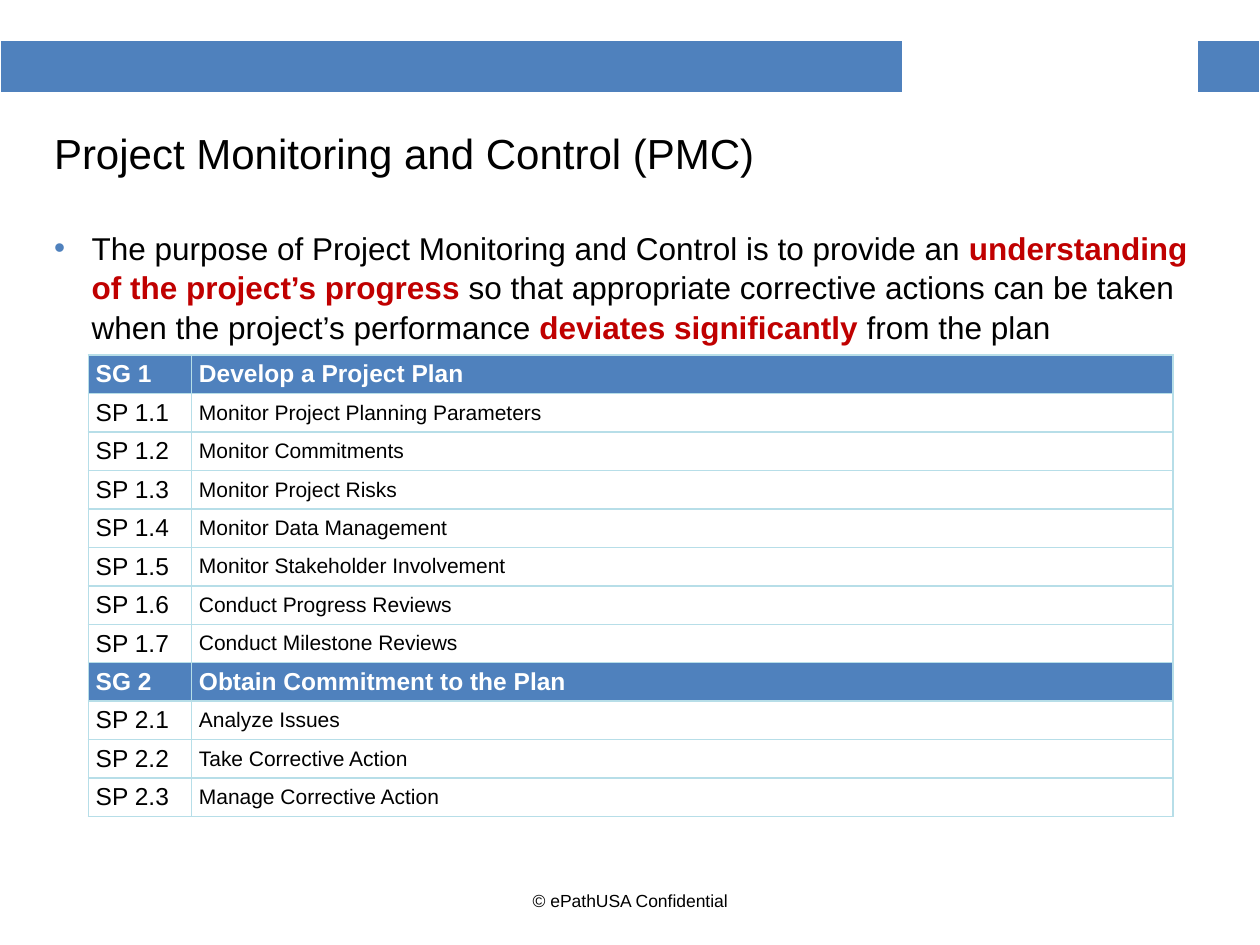
from lxml import etree
from pptx import Presentation
from pptx.dml.color import RGBColor
from pptx.enum.text import MSO_ANCHOR as Anchor, PP_ALIGN as Align
from pptx.oxml.ns import qn
from pptx.util import Cm, Pt

COLORS = {
    "blue": "4F81BD",
    "red": "C00000",
    "black": "000000",
    "white": "FFFFFF",
    "border": "B7DEE8",
}
FONT = "Arial"
PRACTICES = [
    ("SG 1", "Develop a Project Plan"),
    ("SP 1.1", "Monitor Project Planning Parameters"),
    ("SP 1.2", "Monitor Commitments"),
    ("SP 1.3", "Monitor Project Risks"),
    ("SP 1.4", "Monitor Data Management"),
    ("SP 1.5", "Monitor Stakeholder Involvement"),
    ("SP 1.6", "Conduct Progress Reviews"),
    ("SP 1.7", "Conduct Milestone Reviews"),
    ("SG 2", "Obtain Commitment to the Plan"),
    ("SP 2.1", "Analyze Issues"),
    ("SP 2.2", "Take Corrective Action"),
    ("SP 2.3", "Manage Corrective Action"),
]
PURPOSE = [
    ("The purpose of Project Monitoring and Control is to provide an ", False),
    ("understanding of the project’s progress ", True),
    ("so that appropriate corrective actions can be taken when the project’s performance ", False),
    ("deviates significantly ", True),
    ("from the plan", False),
]


def style_font(font, size, color="black", bold=False):
    font.name = FONT
    font.size = Pt(size)
    font.bold = bold
    font.color.rgb = RGBColor.from_string(COLORS[color])


def add_text(slide, left, top, width, height, text="", size=18, align=Align.LEFT, anchor=Anchor.MIDDLE):
    """Add a wrapping text box and return its first paragraph."""
    frame = slide.shapes.add_textbox(Cm(left), Cm(top), Cm(width), Cm(height)).text_frame
    frame.word_wrap = True
    frame.vertical_anchor = anchor
    paragraph = frame.paragraphs[0]
    paragraph.text = text
    paragraph.alignment = align
    for run in paragraph.runs:
        style_font(run.font, size)
    return paragraph


def add_bullet(paragraph, indent):
    properties = paragraph._p.get_or_add_pPr()
    properties.set("marL", str(Cm(indent)))
    properties.set("indent", str(-Cm(indent)))
    color = etree.SubElement(properties, qn("a:buClr"))
    etree.SubElement(color, qn("a:srgbClr"), val=COLORS["blue"])
    etree.SubElement(properties, qn("a:buFont"), typeface=FONT)
    etree.SubElement(properties, qn("a:buChar"), char="•")


def add_purpose(slide):
    paragraph = add_text(slide, 0.84, 4.45, 23.7, 12.93, anchor=Anchor.TOP)
    add_bullet(paragraph, 0.76)
    paragraph.line_spacing = 1.05
    for text, highlighted in PURPOSE:
        run = paragraph.add_run()
        run.text = text
        style_font(run.font, 18, "red" if highlighted else "black", highlighted)


def add_grid(slide, left, top, widths, row_height, row_count):
    """Add an unbanded table with the given column widths."""
    table = slide.shapes.add_table(
        row_count, len(widths), Cm(left), Cm(top), Cm(sum(widths)), Cm(row_height * row_count)
    ).table
    table.horz_banding = table.first_row = False
    for column, width in zip(table.columns, widths):
        column.width = Cm(width)
    for row in table.rows:
        row.height = Cm(row_height)
    return table


def format_cell(cell, fill, border, bottom_width=1):
    properties = cell._tc.get_or_add_tcPr()
    for side in "LRTB":
        width = bottom_width if side == "B" else 1
        line = etree.SubElement(properties, qn(f"a:ln{side}"), w=str(Pt(width)))
        solid = etree.SubElement(line, qn("a:solidFill"))
        etree.SubElement(solid, qn("a:srgbClr"), val=COLORS[border])
    cell.fill.solid()
    cell.fill.fore_color.rgb = RGBColor.from_string(COLORS[fill])


def add_header_band(slide):
    table = add_grid(slide, 0, 0.81, [18.2, 5.93, 1.27], 1.09, 1)
    for cell, fill in zip(table.rows[0].cells, ["blue", "white", "blue"]):
        format_cell(cell, fill, "white", bottom_width=3)


def add_practices(slide):
    table = add_grid(slide, 1.78, 7.16, [2.08, 19.79], 0.775, len(PRACTICES))
    for row, texts in zip(table.rows, PRACTICES):
        is_goal = texts[0].startswith("SG")
        fill, color = ("blue", "white") if is_goal else ("white", "black")
        for cell, text, size in zip(row.cells, texts, (14, 14 if is_goal else 12)):
            format_cell(cell, fill, "border")
            cell.vertical_anchor = Anchor.MIDDLE
            cell.margin_left = cell.margin_right = Cm(0.15)
            cell.margin_top = cell.margin_bottom = Cm(0.08)
            cell.text_frame.text = text
            style_font(cell.text_frame.paragraphs[0].runs[0].font, size, color, is_goal)


def main():
    presentation = Presentation()
    presentation.slide_width, presentation.slide_height = Cm(25.4), Cm(19.05)
    slide = presentation.slides.add_slide(presentation.slide_layouts[6])
    add_header_band(slide)
    add_text(slide, 0.84, 2.16, 23.7, 1.85, "Project Monitoring and Control (PMC)", 24)
    add_purpose(slide)
    add_text(slide, 8.68, 17.65, 8.05, 1.02, "© ePathUSA Confidential", 10, Align.CENTER)
    add_practices(slide)
    presentation.save("out.pptx")


if __name__ == "__main__":
    main()
